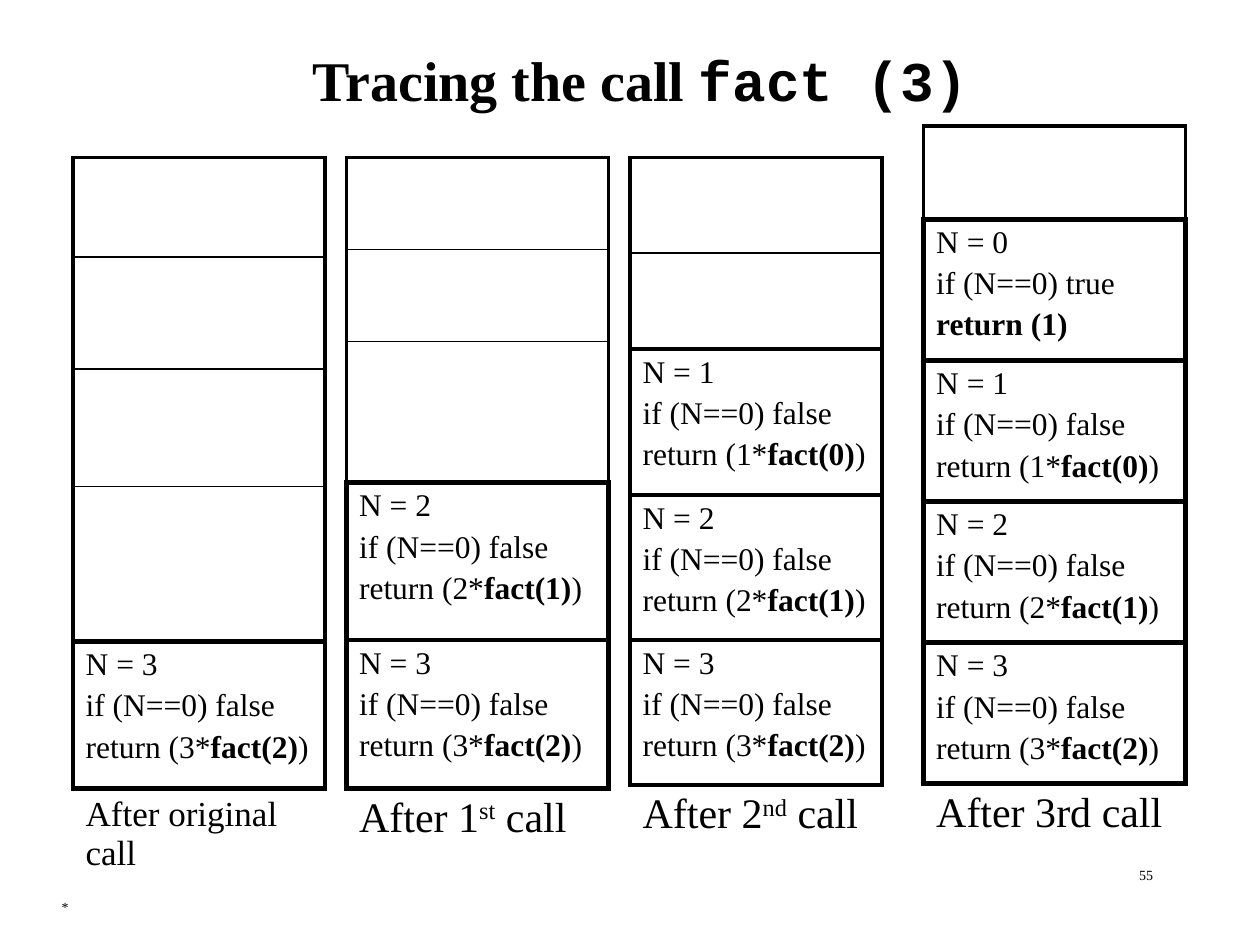
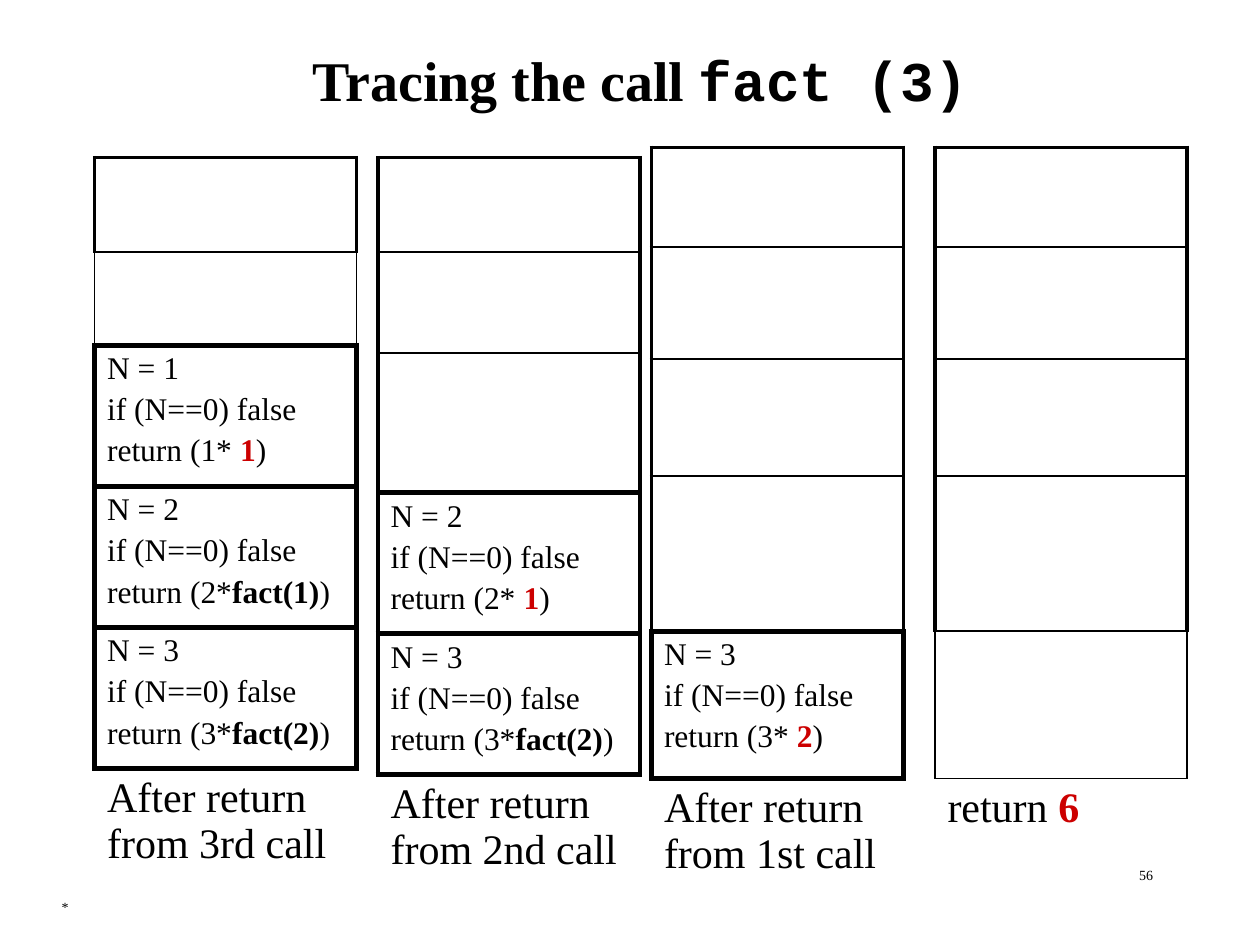
from lxml.etree import SubElement
from pptx import Presentation
from pptx.dml.color import RGBColor
from pptx.enum.text import MSO_ANCHOR as Anchor, PP_ALIGN as Align
from pptx.oxml.ns import qn
from pptx.util import Inches, Pt

# Shared look
SERIF, MONO = "Times New Roman", "Courier New"
BLACK, RED = "000000", "CC0000"
CODE_SIZE, CAPTION_SIZE = 18, 24
THIN, SIDE, THICK = 1, 2.25, 3
STACK_ROWS = 5


def color(hex_text):
    return RGBColor.from_string(hex_text)


# Text
def add_span(para, text, size=CODE_SIZE, font=SERIF, bold=False, ink=BLACK,
             raised=False):
    span = para.add_run()
    span.text = text
    span.font.name = font
    span.font.size = Pt(size)
    span.font.bold = bold
    span.font.color.rgb = color(ink)
    if raised:
        span.font._element.set("baseline", "30000")


def add_spans(para, spans, **shared):
    """Each span is plain text or a (text, format) pair."""
    for span in spans:
        text, own = (span, {}) if isinstance(span, str) else span
        add_span(para, text, **{**shared, **own})


def add_text(page, left, top, width, height, spans, align=Align.LEFT,
             anchor=Anchor.TOP, **shared):
    box = page.shapes.add_textbox(Inches(left), Inches(top),
                                  Inches(width), Inches(height))
    box.text_frame.word_wrap = True
    box.text_frame.vertical_anchor = anchor
    para = box.text_frame.paragraphs[0]
    para.alignment = align
    add_spans(para, spans, **shared)


# Table cells
def set_borders(cell, left=0, right=0, top=0, bottom=0):
    """Draw the cell's four edges; a width of 0 hides the edge."""
    props = cell._tc.get_or_add_tcPr()
    edges = (("a:lnL", left), ("a:lnR", right), ("a:lnT", top), ("a:lnB", bottom))
    for tag, width in edges:
        line = SubElement(props, qn(tag), w=str(Pt(width)))
        if width:
            fill = SubElement(line, qn("a:solidFill"))
            SubElement(fill, qn("a:srgbClr"), val=BLACK)
        else:
            SubElement(line, qn("a:noFill"))


def fill_frame(cell, lines):
    for index, spans in enumerate(lines):
        frame = cell.text_frame
        para = frame.add_paragraph() if index else frame.paragraphs[0]
        if index:
            para.space_before = Pt(3.6)
        add_spans(para, spans)


def call_frame(n, result=None):
    """Lines of one activation of fact; result is the value it got back."""
    if n == 0:
        return [["N = 0"], ["if (N==0) true"], [("return (1)", {"bold": True})]]
    if result is None:
        last = [f"return ({n}*", (f"fact({n - 1})", {"bold": True}), ")"]
    else:
        last = [f"return ({n}* ", (result, {"bold": True, "ink": RED}), ")"]
    return [[f"N = {n}"], ["if (N==0) false"], last]


# Call stack: empty rows, then active frames, then a caption
def add_stack(page, left, top, width, heights, frames, caption,
              caption_size=CAPTION_SIZE, thin_row=None):
    table = page.shapes.add_table(len(heights), 1, Inches(left), Inches(top),
                                  Inches(width), Inches(sum(heights))).table
    table.first_row = table.horz_banding = False
    table.columns[0].width = Inches(width)
    empty = STACK_ROWS - len(frames)
    edge_above = SIDE
    for index, height in enumerate(heights):
        table.rows[index].height = Inches(height)
        cell = table.cell(index, 0)
        if index == STACK_ROWS:
            set_borders(cell, top=edge_above)
            add_spans(cell.text_frame.paragraphs[0], caption, size=caption_size)
        else:
            active = index >= empty
            side = THICK if active else THIN if index == thin_row else SIDE
            below = THICK if active or (frames and index == empty - 1) else THIN
            set_borders(cell, side, side, edge_above, below)
            edge_above = below
            if active:
                fill_frame(cell, frames[index - empty])
        cell.fill.background()


def add_page(deck, number):
    page = deck.slides.add_slide(deck.slide_layouts[6])
    add_text(page, 0.39, 7.08, 2.07, 0.24, ["*"], size=8)
    add_text(page, 7.17, 6.83, 2.08, 0.5, [str(number)], Align.RIGHT, size=8)
    add_text(page, 0.83, 0.25, 8.5, 0.75,
             ["Tracing the call ", ("fact (3)", {"font": MONO})],
             Align.CENTER, Anchor.MIDDLE, size=32, bold=True)
    return page


def main():
    deck = Presentation()
    deck.slide_width, deck.slide_height = Inches(10), Inches(7.5)
    tall_rows = [0.79, 0.89, 0.93, 1.23, 1.17, 0.95]
    raised = {"raised": True}
    calls = [call_frame(n) for n in range(4)]

    # Stack grows with each call
    page = add_page(deck, 55)
    add_stack(page, 0.58, 1.25, 2, tall_rows, calls[3:],
              ["After original call"], caption_size=20)
    add_stack(page, 2.75, 1.25, 2.08, [0.73, 0.73, 1.12, 1.25, 1.18, 0.73],
              calls[:1:-1][::-1], ["After 1", ("st", raised), " call"])
    add_stack(page, 5, 1.25, 2, [0.76, 0.76, 1.16, 1.15, 1.15, 0.76],
              calls[1:], ["After 2", ("nd", raised), " call"])
    add_stack(page, 7.33, 1, 2.08, [0.74] + [1.12] * 4 + [0.74],
              calls, ["After 3rd call"])

    # Stack shrinks with each return
    page = add_page(deck, 56)
    add_stack(page, 0.75, 1.25, 2.08, [0.75, 0.74, 1.12, 1.12, 1.12, 0.9],
              [call_frame(1, "1"), *calls[2:]],
              ["After return from 3rd call"], thin_row=1)
    add_stack(page, 3, 1.25, 2.08, [0.75, 0.8, 1.11, 1.12, 1.12, 0.9],
              [call_frame(2, "1"), calls[3]], ["After return from 2nd call"])
    add_stack(page, 5.17, 1.17, 2, tall_rows, [call_frame(3, "2")],
              ["After return from 1st call"])
    add_stack(page, 7.42, 1.17, 2, tall_rows, [],
              ["return ", ("6", {"bold": True, "ink": RED})], thin_row=4)

    deck.save("out.pptx")


if __name__ == "__main__":
    main()
